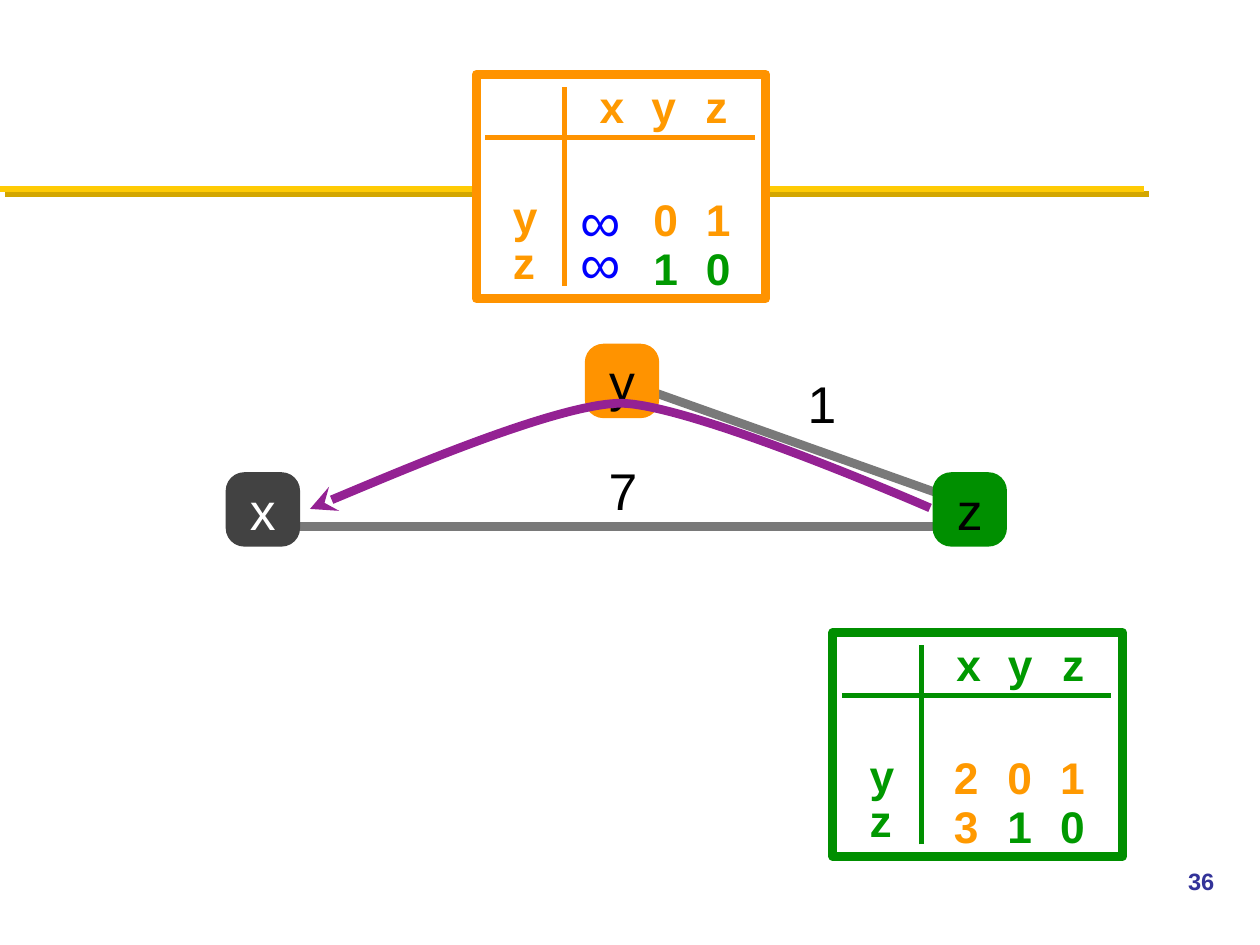
from lxml import etree
from pptx import Presentation
from pptx.dml.color import RGBColor
from pptx.enum.shapes import MSO_CONNECTOR, MSO_SHAPE
from pptx.enum.text import MSO_ANCHOR, PP_ALIGN
from pptx.oxml.ns import qn
from pptx.util import Cm, Pt

STRAIGHT = MSO_CONNECTOR.STRAIGHT
RECT, ROUNDED = MSO_SHAPE.RECTANGLE, MSO_SHAPE.ROUNDED_RECTANGLE
MIDDLE, CENTER = MSO_ANCHOR.MIDDLE, PP_ALIGN.CENTER
ORANGE, GREEN, BLACK, WHITE, BLUE = "FF9900", "009900", "000000", "FFFFFF", "0000FF"
ORANGE_FRAME, GREEN_FRAME, GREY, PURPLE = "FF9300", "008F00", "797979", "942193"

prs = Presentation()
prs.slide_width, prs.slide_height = Cm(25.4), Cm(19.05)
slide = prs.slides.add_slide(prs.slide_layouts[6])
shapes = slide.shapes
color = RGBColor.from_string


def add_line(x1, y1, x2, y2, hex_color, width):
    line = shapes.add_connector(STRAIGHT, Cm(x1), Cm(y1), Cm(x2), Cm(y2))
    line.line.color.rgb = color(hex_color)
    line.line.width = Pt(width)
    return etree.SubElement(line._element.spPr, qn("a:effectLst"))


def write(shape, text, size, hex_color, bold=False, inset=0.1):
    frame = shape.text_frame
    frame.word_wrap = True
    frame.vertical_anchor = MIDDLE
    frame.margin_left = frame.margin_right = Cm(inset)
    frame.margin_top = frame.margin_bottom = Cm(inset)
    frame.text = text
    font = frame.paragraphs[0].runs[0].font
    font.name, font.size, font.bold = "Arial", Pt(size), bold
    font.color.rgb = color(hex_color)


# Title rule with its shadow
effects = add_line(0, 3.81, 23.06, 3.81, "FFCB05", 3.5)
shadow = etree.SubElement(effects, qn("a:outerShdw"), blurRad="0",
                          dist=str(Pt(4.2)), dir="2700000", rotWithShape="0")
etree.SubElement(shadow, qn("a:srgbClr"), val="D3A600")

# Distance tables: offset, frame colour, label colour,
# then the cells as (text, colour, left, top, width, height, size, bold)
value_tops = (3.77, 4.75)
orange_cells = [("∞", BLUE, 11.6, top, 1.22, 1.35, 32.3, False) for top in (3.76, 4.6)]
green_cells = []
for top, numbers, row_color in zip(value_tops, ("01", "10"), (ORANGE, GREEN)):
    for number, left in zip(numbers, (13.07, 14.13)):
        orange_cells.append((number, row_color, left, top, 0.52, 1.3, 25.3, True))
for top, numbers, row_colors in zip(value_tops, ("201", "310"),
                                    ((ORANGE,) * 3, (ORANGE, GREEN, GREEN))):
    for number, cell_color, left in zip(numbers, row_colors, (11.94, 13.02, 14.08)):
        green_cells.append((number, cell_color, left, top, 0.52, 1.3, 25.3, True))

distance_tables = [
    (0, 0, ORANGE_FRAME, ORANGE, orange_cells),
    (7.19, 11.25, GREEN_FRAME, GREEN, green_cells),
]
for dx, dy, frame_color, label_color, cells in distance_tables:
    frame = shapes.add_shape(RECT, Cm(9.6 + dx), Cm(1.5 + dy), Cm(5.84), Cm(4.52))
    frame.shadow.inherit = False
    frame.fill.solid()
    frame.fill.fore_color.rgb = color(WHITE)
    frame.line.color.rgb = color(frame_color)
    frame.line.width = Pt(5)
    add_line(9.78 + dx, 2.77 + dy, 15.21 + dx, 2.77 + dy, frame_color, 3)
    add_line(11.38 + dx, 5.77 + dy, 11.38 + dx, 1.75 + dy, frame_color, 3)
    headers = [(name, label_color, left, 1.55, 0.74, 1.17, 25.3, True)
               for name, left in zip("xyz", (11.99, 13.03, 14.12))]
    row_labels = [(name, label_color, 10.24, top, 0.66, 1.3, 25.3, True)
                  for name, top in zip("yz", (3.71, 4.62))]
    for text, text_color, left, top, width, height, size, bold in headers + row_labels + cells:
        cell = shapes.add_textbox(Cm(left + dx), Cm(top + dy), Cm(width), Cm(height))
        write(cell, text, size, text_color, bold)

# Links between the nodes
add_line(5.84, 10.62, 19.38, 10.62, GREY, 5)
add_line(12.93, 7.82, 19.38, 10.11, GREY, 5)

# Nodes
for name, left, top, fill_color, text_color in [
    ("x", 4.55, 9.52, "424242", WHITE),
    ("z", 18.8, 9.52, GREEN_FRAME, BLACK),
    ("y", 11.79, 6.93, ORANGE_FRAME, BLACK),
]:
    node = shapes.add_shape(ROUNDED, Cm(left), Cm(top), Cm(1.5), Cm(1.5))
    node.adjustments[0] = 0.25
    node.shadow.inherit = False
    node.fill.solid()
    node.fill.fore_color.rgb = color(fill_color)
    node.line.fill.background()
    write(node, name, 29.5, text_color, inset=0)
    node.text_frame.paragraphs[0].alignment = CENTER

# Link weights
for weight, left, top in [("7", 12.17, 9.14), ("1", 16.18, 7.39)]:
    write(shapes.add_textbox(Cm(left), Cm(top), Cm(0.74), Cm(1.47)), weight, 29.5, BLACK)

# Curved route from z through y to x
start, middle, end = (18.75, 10.24), (12.5, 8.13), (6.25, 10.26)
curves = [(start, (13.92, 8.13), middle), ((11.18, 8.15), end, end)]
builder = shapes.build_freeform(Cm(start[0]), Cm(start[1]))
builder.add_line_segments([(Cm(x), Cm(y)) for x, y in (middle, end)], close=False)
route = builder.convert_to_shape()
route.shadow.inherit = False
route.fill.background()
route.line.color.rgb = color(PURPLE)
route.line.width = Pt(5)
segments = list(route._element.iter(qn("a:lnTo")))
for segment, points in zip(segments, curves):
    bezier = etree.Element(qn("a:cubicBezTo"))
    for x, y in points:
        etree.SubElement(bezier, qn("a:pt"), x=str(Cm(x) - route.left), y=str(Cm(y) - route.top))
    segment.getparent().replace(segment, bezier)
etree.SubElement(route.line._get_or_add_ln(), qn("a:tailEnd"), type="stealth")

# Slide number
number = shapes.add_textbox(Cm(23.7), Cm(17.35), Cm(1.7), Cm(1.27))
number.text_frame.word_wrap = True
number.text_frame.text = "36"
number_font = number.text_frame.paragraphs[0].runs[0].font
number_font.name, number_font.size, number_font.bold = "Arial", Pt(13.5), True
number_font.color.rgb = color("333399")

prs.save("out.pptx")
